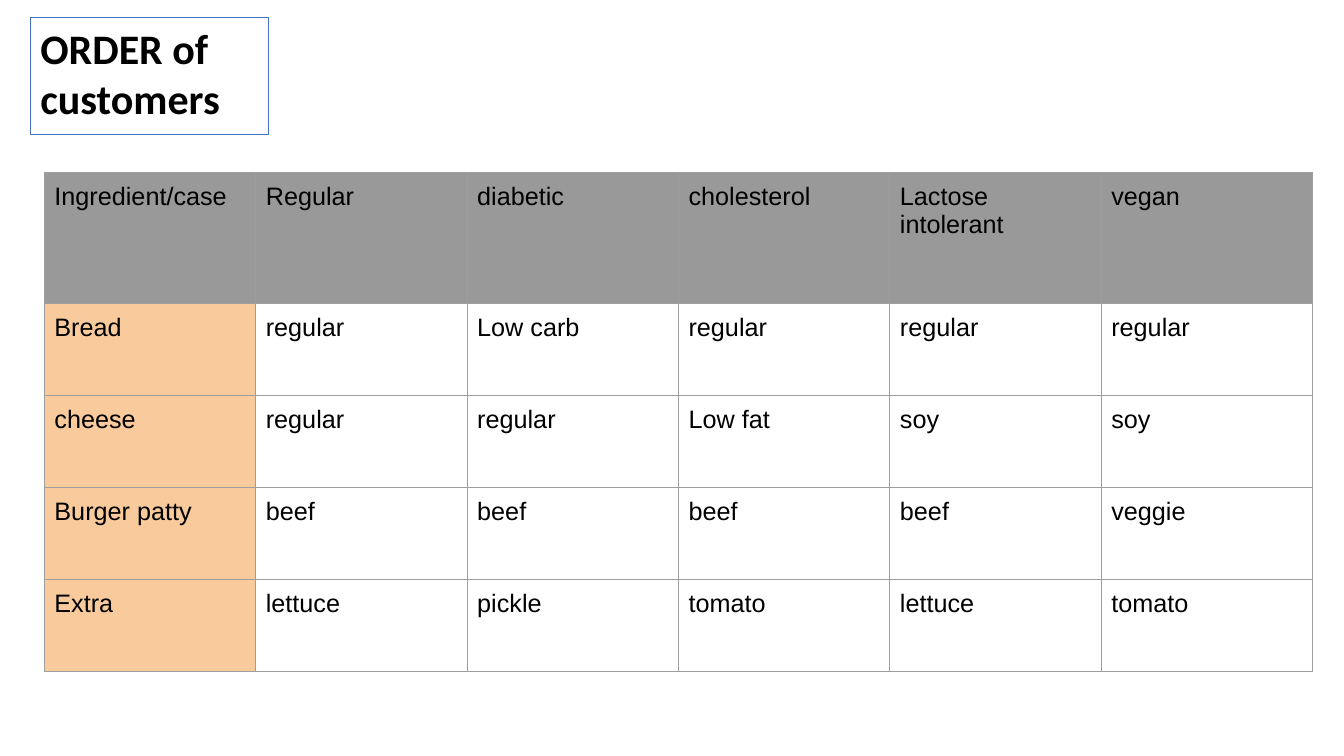
from lxml import etree
from pptx import Presentation
from pptx import util as u
from pptx.dml import color
from pptx.enum import text
from pptx.oxml import ns

BLACK, TITLE_LINE, GRID = "000000", "4472C4", "9E9E9E"
HEADER_FILL, INGREDIENT_FILL = "999999", "F9CB9C"
ORDERS = [
    ["Ingredient/case", "Regular", "diabetic", "cholesterol", "Lactose intolerant", "vegan"],
    ["Bread", "regular", "Low carb", "regular", "regular", "regular"],
    ["cheese", "regular", "regular", "Low fat", "soy", "soy"],
    ["Burger patty", "beef", "beef", "beef", "beef", "veggie"],
    ["Extra", "lettuce", "pickle", "tomato", "lettuce", "tomato"],
]
HEADER_HEIGHT = 1.3


def rgb(value):
    return color.RGBColor.from_string(value)


def add_run(paragraph, words, font_name, size, bold=False):
    paragraph.alignment = text.PP_ALIGN.LEFT
    run = paragraph.add_run()
    run.text = words
    run.font.name = font_name
    run.font.size = u.Pt(size)
    run.font.bold = bold
    run.font.color.rgb = rgb(BLACK)


def set_borders(cell, value, width):
    properties = cell._tc.get_or_add_tcPr()
    for side in ("a:lnL", "a:lnR", "a:lnT", "a:lnB"):
        line = etree.SubElement(properties, ns.qn(side), w=str(u.Pt(width)))
        fill = etree.SubElement(line, ns.qn("a:solidFill"))
        etree.SubElement(fill, ns.qn("a:srgbClr"), val=value)


def place_title(slide, left, top, width, height):
    title = slide.shapes.title
    title.left, title.top = u.Inches(left), u.Inches(top)
    title.width, title.height = u.Inches(width), u.Inches(height)
    title.line.color.rgb = rgb(TITLE_LINE)
    title.line.width = u.Pt(0.75)
    frame = title.text_frame
    frame.word_wrap = True
    frame.auto_size = text.MSO_AUTO_SIZE.NONE
    frame.vertical_anchor = text.MSO_ANCHOR.TOP
    frame.margin_left = frame.margin_right = u.Inches(0.1)
    frame.margin_top = frame.margin_bottom = u.Inches(0.05)
    add_run(frame.paragraphs[0], "ORDER of customers", "Calibri", 30, bold=True)


def format_cell(cell, words, fill):
    cell.margin_left = cell.margin_right = u.Inches(0.1)
    cell.margin_top = cell.margin_bottom = u.Inches(0.1)
    cell.vertical_anchor = text.MSO_ANCHOR.TOP
    set_borders(cell, GRID, 0.75)
    if fill:
        cell.fill.solid()
        cell.fill.fore_color.rgb = rgb(fill)
    else:
        cell.fill.background()
    add_run(cell.text_frame.paragraphs[0], words, "Arial", 18)


def add_order_table(slide, left, top, width, height):
    table = slide.shapes.add_table(
        len(ORDERS), len(ORDERS[0]),
        u.Inches(left), u.Inches(top), u.Inches(width), u.Inches(height)).table
    body_height = (height - HEADER_HEIGHT) / (len(ORDERS) - 1)
    for row_index, order in enumerate(ORDERS):
        table.rows[row_index].height = u.Inches(body_height if row_index else HEADER_HEIGHT)
        for column_index, words in enumerate(order):
            if row_index == 0:
                fill = HEADER_FILL
            else:
                fill = None if column_index else INGREDIENT_FILL
            format_cell(table.cell(row_index, column_index), words, fill)


def main():
    presentation = Presentation()
    presentation.slide_width = u.Inches(13.33)
    presentation.slide_height = u.Inches(7.5)
    slide = presentation.slides.add_slide(presentation.slide_layouts.get_by_name("Title Only"))
    place_title(slide, 0.3, 0.17, 2.36, 1.16)
    add_order_table(slide, 0.44, 1.71, 12.58, 4.95)
    presentation.save("out.pptx")


if __name__ == "__main__":
    main()
